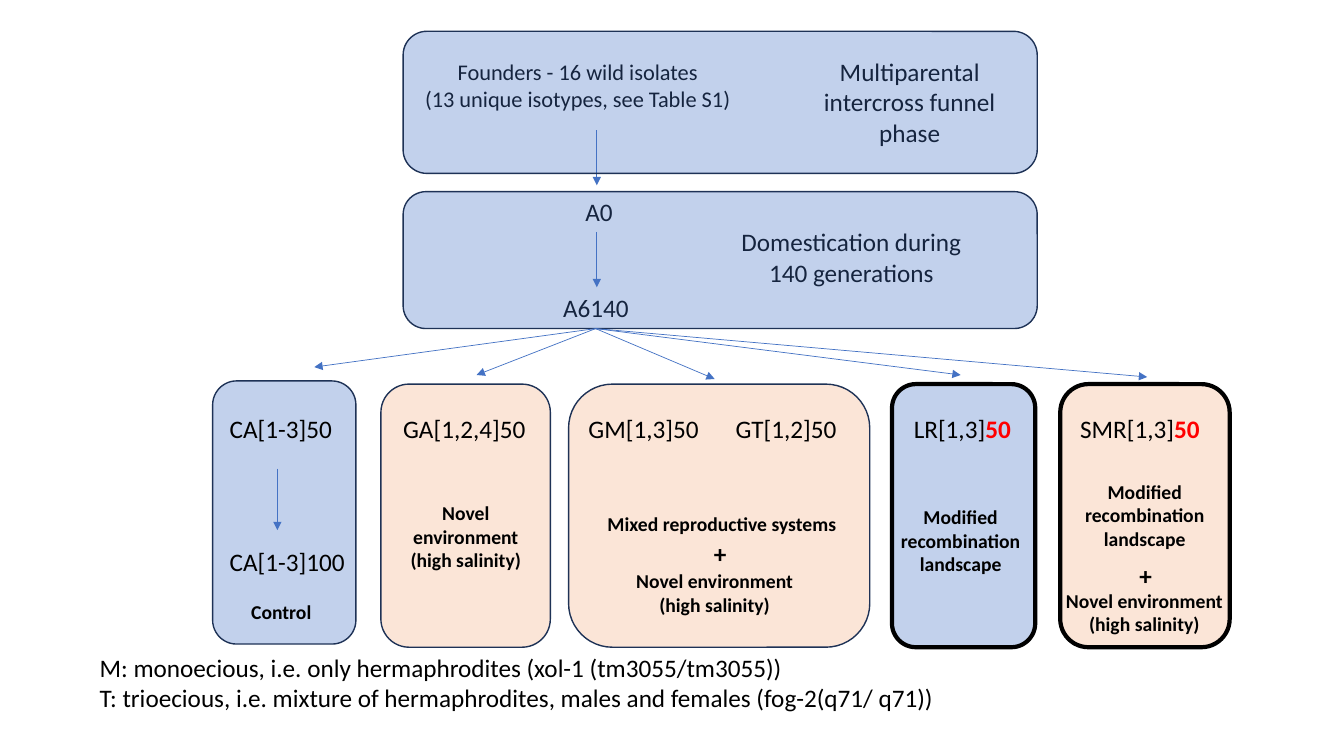
from dataclasses import dataclass
from lxml.etree import SubElement
from pptx import Presentation
from pptx.dml.color import RGBColor
from pptx.enum.shapes import MSO_CONNECTOR, MSO_SHAPE
from pptx.enum.text import MSO_AUTO_SIZE, PP_ALIGN
from pptx.oxml.ns import qn
from pptx.util import Cm, Pt


@dataclass(frozen=True)
class Theme:
    """Colours, type sizes and line widths of the slide."""
    font: str = "Calibri"
    blue: str = "4472C4"
    orange: str = "F4B183"
    navy: str = "1E3256"
    black: str = "000000"
    red: str = "FF0000"
    opacity: int = 32000
    heading: int = 18
    founders: int = 16
    note: int = 14
    thin: float = 0.5
    outline: float = 1
    thick: float = 3


T = Theme()
LABEL = dict(size=T.heading, bold=False, align=PP_ALIGN.LEFT, wrap=False)
TITLE = dict(size=T.heading, bold=False, align=PP_ALIGN.CENTER, wrap=True)
FOUNDERS = TITLE | dict(size=T.founders)
NOTE = dict(size=T.note, bold=True, align=PP_ALIGN.CENTER, wrap=True)
PLUS = NOTE | dict(size=T.heading)
SALINITY = "Novel environment\n(high salinity)"
LANDSCAPE = "Modified recombination landscape"

GROUP_TOP, GROUP_H = 9.68, 6.63
LABEL_TOP, LABEL_H = 10.29, 1.02
STEM_X = 15.04
FAN_X, FAN_Y = 15.01, 8.28

GROUPS = [
    (9.6, GROUP_TOP, 4.27, GROUP_H, T.orange, T.navy, T.outline),
    (22.48, GROUP_TOP, 3.61, GROUP_H, T.blue, T.black, T.thick),
    (14.33, GROUP_TOP, 7.59, GROUP_H, T.orange, T.navy, T.outline),
    (5.36, 9.6, 3.61, GROUP_H, T.blue, T.navy, T.outline),
    (26.72, GROUP_TOP, 4.27, GROUP_H, T.orange, T.black, T.thick),
]
PHASE_TEXTS = [
    (8.86, 1.35, 11.4, 1.63, "Founders - 16 wild isolates\n(13 unique isotypes, see Table S1)", FOUNDERS),
    (14.5, 4.83, 1.22, 1.02, "A0", LABEL),
    (13.94, 7.24, 2.18, 1.02, "A6140", LABEL),
    (18.19, 5.59, 6.53, 1.8, "Domestication during 140 generations", TITLE),
    (19.71, 1.3, 6.43, 2.57, "Multiparental intercross funnel phase", TITLE),
]
PHASES = [
    (10.16, 0.79, 15.98, 3.58, T.blue, T.navy, T.outline),
    (10.16, 4.83, 15.98, 3.45, T.blue, T.navy, T.outline),
]
LINE_NAMES = [
    (5.54, 3.12, "CA[1-3]50", ""),
    (22.78, 2.97, "LR[1,3]", "50"),
    (9.91, 3.63, "GA[1,2,4]50", ""),
    (14.58, 3.33, "GM[1,3]50", ""),
    (18.29, 3.07, "GT[1,2]50", ""),
    (26.97, 3.56, "SMR[1,3]", "50"),
]
GROUP_TEXTS = [
    (5.54, 13.64, 3.43, 1.02, "CA[1-3]100", LABEL),
    (15.06, 12.78, 6.35, 0.86, "Mixed reproductive systems", NOTE | dict(align=PP_ALIGN.LEFT)),
    (22.33, 12.6, 3.76, 2.06, LANDSCAPE, NOTE),
    (9.86, 12.5, 3.76, 2.06, SALINITY, NOTE),
    (14.38, 14.22, 7.26, 1.45, SALINITY, NOTE),
    (17.73, 13.44, 0.84, 1.02, "+", PLUS),
    (26.59, 14.71, 4.5, 2.06, SALINITY, NOTE | dict(wrap=False)),
    (28.45, 14, 0.84, 1.02, "+", PLUS),
    (26.97, 11.96, 3.76, 2.06, LANDSCAPE, NOTE),
    (5.21, 14.99, 3.76, 0.86, "Control", NOTE),
]
LEGEND = [
    "M: monoecious, i.e. only hermaphrodites (xol-1 (tm3055/tm3055))",
    "T: trioecious, i.e. mixture of hermaphrodites, males and females (fog-2(q71/ q71))",
]
STEPS = [(STEM_X, 3.28, 4.67), (STEM_X, 5.84, 7.24), (6.99, 11.81, 13.36)]
FAN_ENDS = [(7.92, 9.25), (12.01, 9.45), (18.01, 9.55), (24.21, 9.45), (28.91, 9.5)]


def add_box(s, x, y, w, h, fill, line, width):
    """Add a translucent rounded box."""
    sp = s.shapes.add_shape(MSO_SHAPE.ROUNDED_RECTANGLE, Cm(x), Cm(y), Cm(w), Cm(h))
    sp.shadow.inherit = False
    sp.fill.solid()
    sp.fill.fore_color.rgb = RGBColor.from_string(fill)
    color = sp.fill._xPr.find(qn("a:solidFill"))[0]
    SubElement(color, qn("a:alpha")).set("val", str(T.opacity))
    sp.line.color.rgb = RGBColor.from_string(line)
    sp.line.width = Pt(width)


def add_run(p, text, size, bold, color=T.black):
    """Add a formatted run to a paragraph."""
    r = p.add_run()
    r.text = text
    for name, value in dict(name=T.font, size=Pt(size), bold=bold).items():
        setattr(r.font, name, value)
    r.font.color.rgb = RGBColor.from_string(color)


def add_text(s, x, y, w, h, text, style):
    """Add a text box and return its first paragraph."""
    tf = s.shapes.add_textbox(Cm(x), Cm(y), Cm(w), Cm(h)).text_frame
    frame = dict(word_wrap=style["wrap"], auto_size=MSO_AUTO_SIZE.SHAPE_TO_FIT_TEXT)
    for name, value in frame.items():
        setattr(tf, name, value)
    p = tf.paragraphs[0]
    p.alignment = style["align"]
    for i, line in enumerate(text.split("\n")):
        if i:
            p.add_line_break()
        add_run(p, line, style["size"], style["bold"])
    return p


def add_line_name(s, x, w, name, generation):
    """Add a population name with an optional red generation number."""
    p = add_text(s, x, LABEL_TOP, w, LABEL_H, name, LABEL)
    if generation:
        add_run(p, generation, T.heading, True, T.red)


def add_legend(s, x, y, w, h):
    """Add the legend with one paragraph per entry."""
    add_text(s, x, y, w, h, LEGEND[0], LABEL)
    tf = s.shapes[-1].text_frame
    for entry in LEGEND[1:]:
        add_run(tf.add_paragraph(), entry, T.heading, False)


def add_arrow(s, x1, y1, x2, y2):
    """Add a thin arrow."""
    c = s.shapes.add_connector(MSO_CONNECTOR.STRAIGHT, Cm(x1), Cm(y1), Cm(x2), Cm(y2))
    c.line.color.rgb = RGBColor.from_string(T.blue)
    c.line.width = Pt(T.thin)
    SubElement(c.line._get_or_add_ln(), qn("a:tailEnd")).set("type", "triangle")
    SubElement(c._element.spPr, qn("a:effectLst"))


def main():
    """Build and save the slide."""
    prs = Presentation()
    prs.slide_width, prs.slide_height = Cm(33.87), Cm(19.05)
    s = prs.slides.add_slide(prs.slide_layouts[6])
    for group in GROUPS:
        add_box(s, *group)
    for x, top, bottom in STEPS:
        add_arrow(s, x, top, x, bottom)
    for text in PHASE_TEXTS:
        add_text(s, *text)
    for phase in PHASES:
        add_box(s, *phase)
    for line_name in LINE_NAMES:
        add_line_name(s, *line_name)
    for text in GROUP_TEXTS:
        add_text(s, *text)
    add_legend(s, 2.26, 16.31, 21.79, 2.57)
    for x, y in FAN_ENDS:
        add_arrow(s, FAN_X, FAN_Y, x, y)
    prs.save("out.pptx")


if __name__ == "__main__":
    main()
